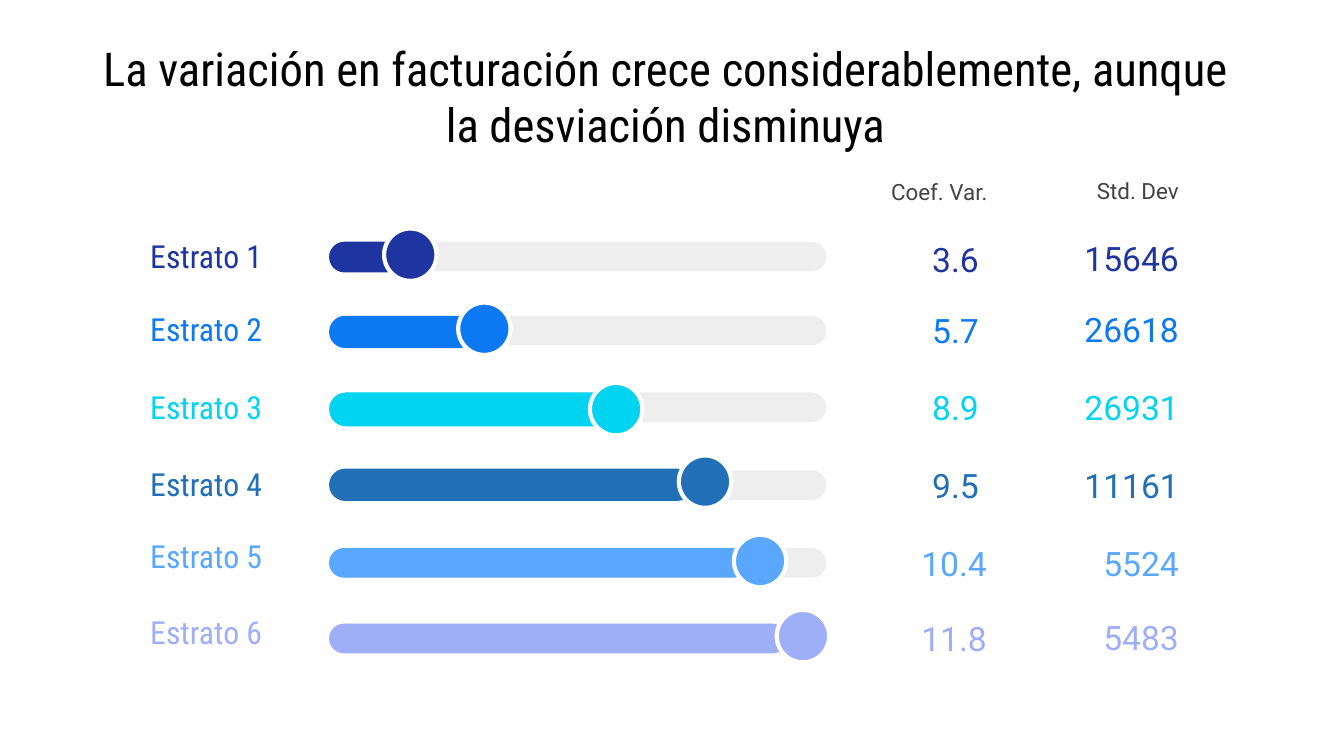
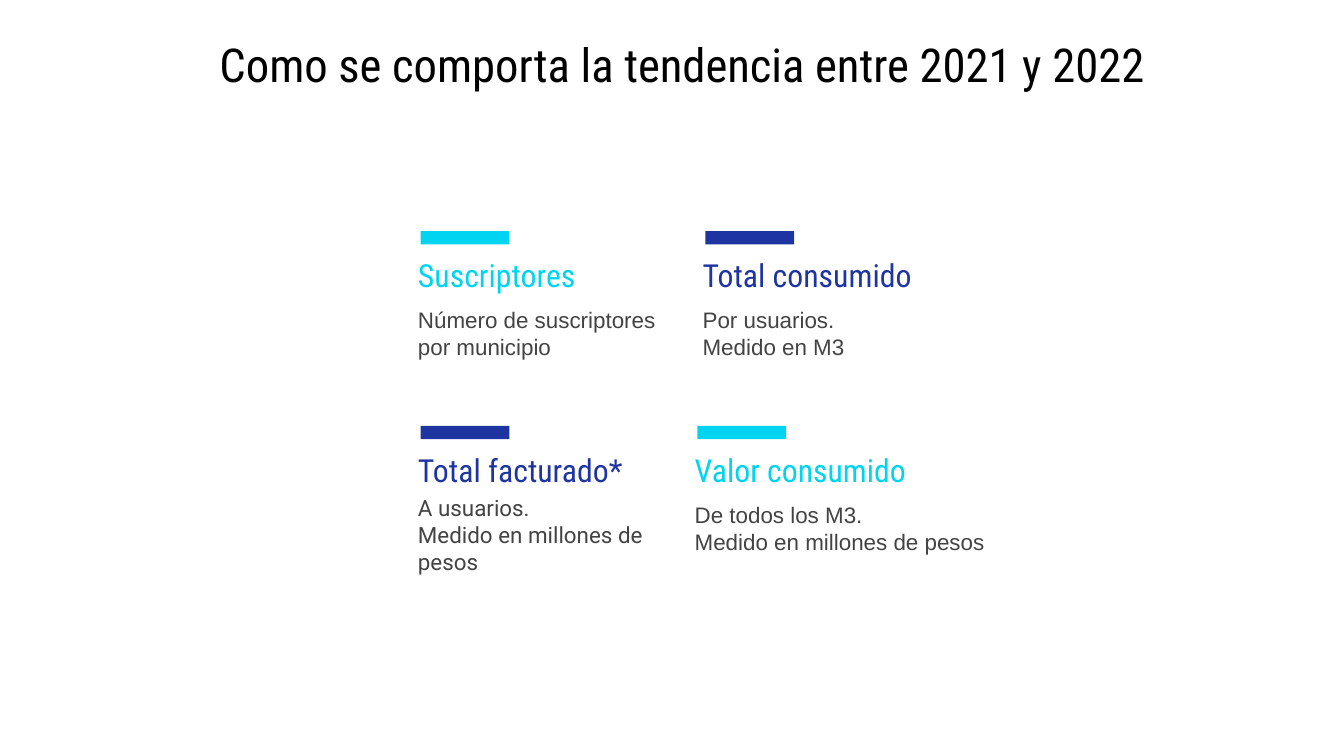
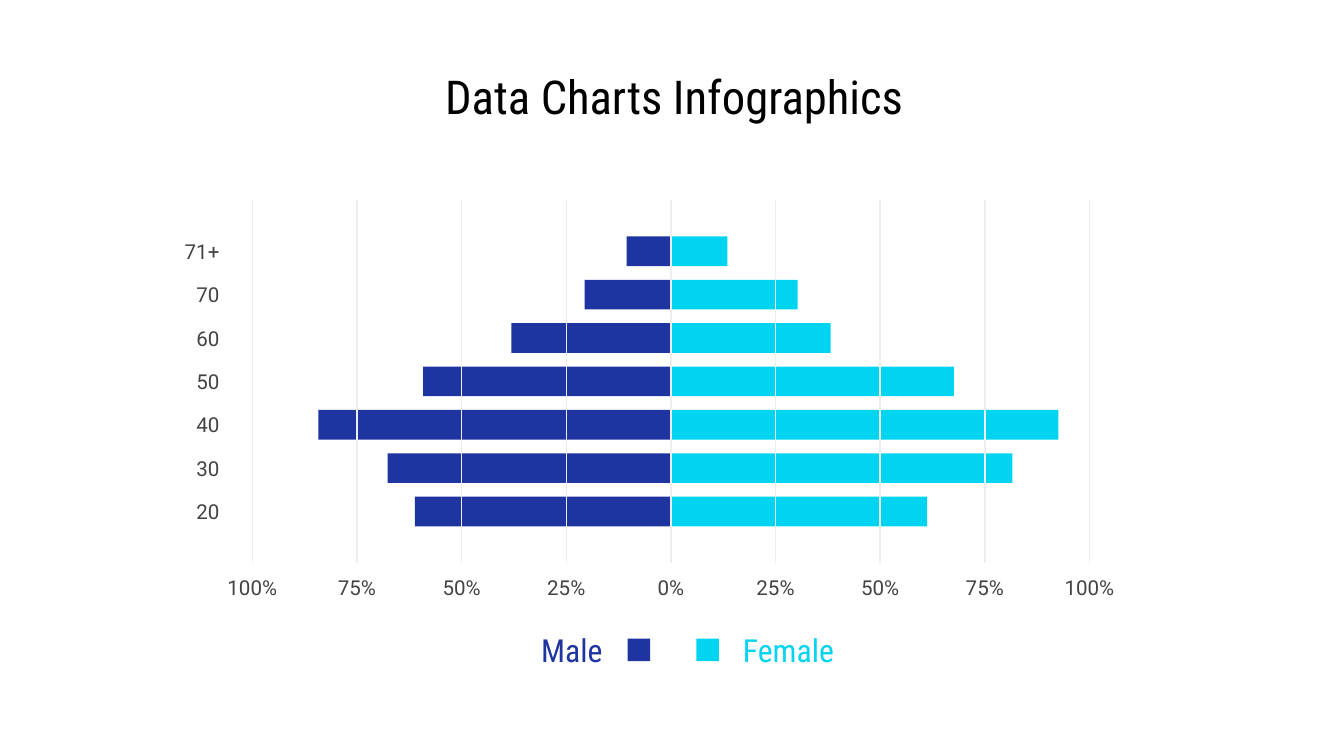
from dataclasses import dataclass

from lxml import etree
from pptx import Presentation
from pptx.dml.color import RGBColor
from pptx.enum.shapes import MSO_CONNECTOR, MSO_SHAPE
from pptx.enum.text import MSO_ANCHOR, MSO_AUTO_SIZE, PP_ALIGN
from pptx.oxml.ns import qn
from pptx.util import Cm, Pt

LEFT, CENTER, RIGHT = PP_ALIGN.LEFT, PP_ALIGN.CENTER, PP_ALIGN.RIGHT
MIDDLE = MSO_ANCHOR.MIDDLE
NO_FIT = MSO_AUTO_SIZE.NONE
RECT, PILL, OVAL = MSO_SHAPE.RECTANGLE, MSO_SHAPE.ROUNDED_RECTANGLE, MSO_SHAPE.OVAL
STRAIGHT = MSO_CONNECTOR.STRAIGHT
TITLE_ONLY = 5


@dataclass(frozen=True)
class Theme:
    black: str = "000000"
    white: str = "FFFFFF"
    gray: str = "434343"
    track: str = "EEEEEE"
    navy: str = "1E35A1"
    blue: str = "0C79F3"
    cyan: str = "00D4F0"
    steel: str = "2170B7"
    sky: str = "59A7FF"
    lilac: str = "9EAEF7"
    heading_font: str = "Roboto Condensed"
    body_font: str = "Roboto"
    plain_font: str = "Arial"
    title_size: float = 25
    heading_size: float = 17
    value_size: float = 18
    body_size: float = 12
    axis_size: float = 11


T = Theme()
HEADING = {"name": T.heading_font, "size": Pt(T.heading_size)}
VALUE = {"name": T.body_font, "size": Pt(T.value_size)}
BODY = {"name": T.body_font, "size": Pt(T.body_size)}
PLAIN = {"name": T.plain_font, "size": Pt(T.body_size)}
AXIS = {"name": T.body_font, "size": Pt(T.axis_size)}
TITLE = {"name": T.heading_font, "size": Pt(T.title_size)}
FRAME = {
    "word_wrap": True, "auto_size": NO_FIT, "vertical_anchor": MIDDLE,
    "margin_left": Cm(0.25), "margin_right": Cm(0.25),
    "margin_top": Cm(0.25), "margin_bottom": Cm(0.25),
}

STRATA = [
    dict(color=T.navy, coef="3.6", dev="15646", track_y=4.57, fill=(4.57, 1.4, 0.58),
         knob=(7.26, 4.32), label_y=4.39, coef_at=(16.08, 4.45), dev_y=4.42),
    dict(color=T.blue, coef="5.7", dev="26618", track_y=5.97, fill=(5.97, 2.77, 0.61),
         knob=(8.66, 5.72), label_y=5.77, coef_at=(16.08, 5.79), dev_y=5.77),
    dict(color=T.cyan, coef="8.9", dev="26931", track_y=7.42, fill=(7.42, 5.44, 0.64),
         knob=(11.15, 7.24), label_y=7.24, coef_at=(16.08, 7.24), dev_y=7.24),
    dict(color=T.steel, coef="9.5", dev="11161", track_y=8.89, fill=(8.86, 6.88, 0.61),
         knob=(12.83, 8.61), label_y=8.69, coef_at=(16.08, 8.71), dev_y=8.71),
    dict(color=T.sky, coef="10.4", dev="5524", track_y=10.36, fill=(10.36, 7.92, 0.56),
         knob=(13.87, 10.11), label_y=10.06, coef_at=(16.23, 10.19), dev_y=10.19),
    dict(color=T.lilac, coef="11.8", dev="5483", track_y=11.79, fill=(11.79, 8.66, 0.56),
         knob=(14.68, 11.53), label_y=11.48, coef_at=(16.23, 11.61), dev_y=11.58),
]

CARDS = [
    dict(x=7.65, y=4.37, color=T.cyan, heading="Suscriptores", heading_w=4.93,
         lines=["Número de suscriptores por municipio"], body_w=5.08),
    dict(x=13.03, y=4.37, color=T.navy, heading="Total consumido", heading_w=4.93,
         lines=["Por usuarios.", "Medido en M3"], body_w=4.93),
    dict(x=7.65, y=8.05, color=T.navy, heading="Total facturado*", heading_w=4.93,
         lines=["A usuarios.", "Medido en millones de pesos"], body_w=4.93,
         body_dy=1.3, style=BODY),
    dict(x=12.88, y=8.05, color=T.cyan, heading="Valor consumido", heading_w=5.31,
         lines=["De todos los M3.", "Medido en millones de pesos"], body_w=6.15),
]

AGES = [
    ("71+", 10.6, 13.5), ("70", 20.6, 30.3), ("60", 38.1, 38.2), ("50", 59.2, 67.6),
    ("40", 84.2, 92.6), ("30", 67.7, 81.6), ("20", 61.2, 61.2),
]


def cms(*values):
    return [Cm(v) for v in values]


def set_attrs(obj, values):
    for name, value in values.items():
        setattr(obj, name, value)


def write(tf, lines, style, color, align):
    set_attrs(tf, FRAME)
    for i, line in enumerate(lines):
        p = tf.paragraphs[0] if i == 0 else tf.add_paragraph()
        p.alignment = align
        r = p.add_run()
        r.text = line
        set_attrs(r.font, style)
        r.font.color.rgb = RGBColor.from_string(color)


def add_text(shapes, box, lines, style, color, align=LEFT):
    sp = shapes.add_textbox(*cms(*box))
    write(sp.text_frame, lines, style, color, align)


def add_block(shapes, kind, box, color, outline=None):
    sp = shapes.add_shape(kind, *cms(*box))
    sp.shadow.inherit = False
    sp.fill.solid()
    sp.fill.fore_color.rgb = RGBColor.from_string(color)
    if kind == PILL:
        sp.adjustments[0] = 0.5
    if outline:
        sp.line.color.rgb = RGBColor.from_string(outline)
        sp.line.width = Pt(2.25)
    else:
        sp.line.fill.background()


def add_gridline(shapes, x, top, bottom):
    line = shapes.add_connector(STRAIGHT, *cms(x, top, x, bottom))
    line.line.color.rgb = RGBColor.from_string(T.track)
    line.line.width = Pt(0.75)
    etree.SubElement(line._element.spPr, qn("a:effectLst"))


def add_slide(prs, title, x=1.35, y=1.14, w=22.78):
    s = prs.slides.add_slide(prs.slide_layouts[TITLE_ONLY])
    sp = s.shapes.title
    set_attrs(sp, dict(zip(("left", "top", "width", "height"), cms(x, y, w, 1.35))))
    write(sp.text_frame, [title], TITLE, T.black, CENTER)
    return s


def add_slider(shapes, name, color, coef, dev, track_y, fill, knob, label_y, coef_at, dev_y):
    track_x, track_w, track_h = 6.22, 9.4, 0.56
    fill_y, fill_w, fill_h = fill
    add_block(shapes, PILL, (track_x, track_y, track_w, track_h), T.track)
    add_block(shapes, PILL, (track_x, fill_y, fill_w, fill_h), color)
    add_block(shapes, OVAL, (*knob, 0.99, 0.99), color, T.white)
    add_text(shapes, (2.59, label_y, 3.15, 0.91), [name], HEADING, color)
    add_text(shapes, (*coef_at, 2.67, 0.91), [coef], VALUE, color, RIGHT)
    add_text(shapes, (19.86, dev_y, 2.67, 0.91), [dev], VALUE, color, RIGHT)


def add_card(shapes, x, y, color, heading, heading_w, lines, body_w, body_dy=1.17, style=PLAIN):
    add_text(shapes, (x, y + 0.46, heading_w, 0.74), [heading], HEADING, color)
    add_text(shapes, (x, y + body_dy, body_w, 1.52), lines, style, T.gray)
    add_block(shapes, RECT, (x + 0.3, y, 1.68, 0.25), color)


def add_pyramid(shapes, axis_x, half_w):
    top, step, bar_h, label_w = 4.47, 0.82, 0.56, 1.45
    for i, (age, male, female) in enumerate(AGES):
        y = top + i * step
        male_w, female_w = male / 100 * half_w, female / 100 * half_w
        add_block(shapes, RECT, (axis_x, y, female_w, bar_h), T.cyan)
        add_block(shapes, RECT, (axis_x - male_w, y, male_w, bar_h), T.navy)
        add_text(shapes, (2.95, y, label_w, bar_h), [age], AXIS, T.gray, RIGHT)
    for percent in range(-100, 101, 25):
        x = axis_x + percent / 100 * half_w
        add_gridline(shapes, x, 3.78, 10.64)
        add_text(shapes, (x - label_w / 2, 10.82, label_w, bar_h),
                 [f"{abs(percent)}%"], AXIS, T.gray, CENTER)


def add_legend(shapes, label, color, key_x, label_x, align):
    add_block(shapes, RECT, (key_x, 12.07, 0.43, 0.43), color)
    add_text(shapes, (label_x, 11.79, 3, 0.99), [label], HEADING, color, align)


def build_strata(prs):
    s = add_slide(prs, "La variación en facturación crece considerablemente, "
                       "aunque la desviación disminuya", w=22.45)
    add_text(s.shapes, (16.23, 2.87, 2.79, 1.52), ["Coef. Var. "], BODY, T.gray, RIGHT)
    add_text(s.shapes, (19.74, 2.84, 2.79, 1.52), ["Std. Dev"], BODY, T.gray, RIGHT)
    for i, stratum in enumerate(STRATA, 1):
        add_slider(s.shapes.add_group_shape().shapes, f"Estrato {i}", **stratum)


def build_trend(prs):
    s = add_slide(prs, "Como se comporta la tendencia entre 2021 y 2022", x=1.5, y=0.53)
    for card in CARDS:
        add_card(s.shapes.add_group_shape().shapes, **card)


def build_ages(prs):
    s = add_slide(prs, "Data Charts Infographics")
    add_pyramid(s.shapes.add_group_shape().shapes, axis_x=12.68, half_w=7.91)
    legend = s.shapes.add_group_shape().shapes
    add_legend(legend, "Male", T.navy, 11.86, 8.64, RIGHT)
    add_legend(legend, "Female", T.cyan, 13.16, 13.79, LEFT)


def main():
    prs = Presentation()
    prs.slide_width, prs.slide_height = cms(25.4, 14.29)
    build_strata(prs)
    build_trend(prs)
    build_ages(prs)
    prs.save("out.pptx")


if __name__ == "__main__":
    main()
